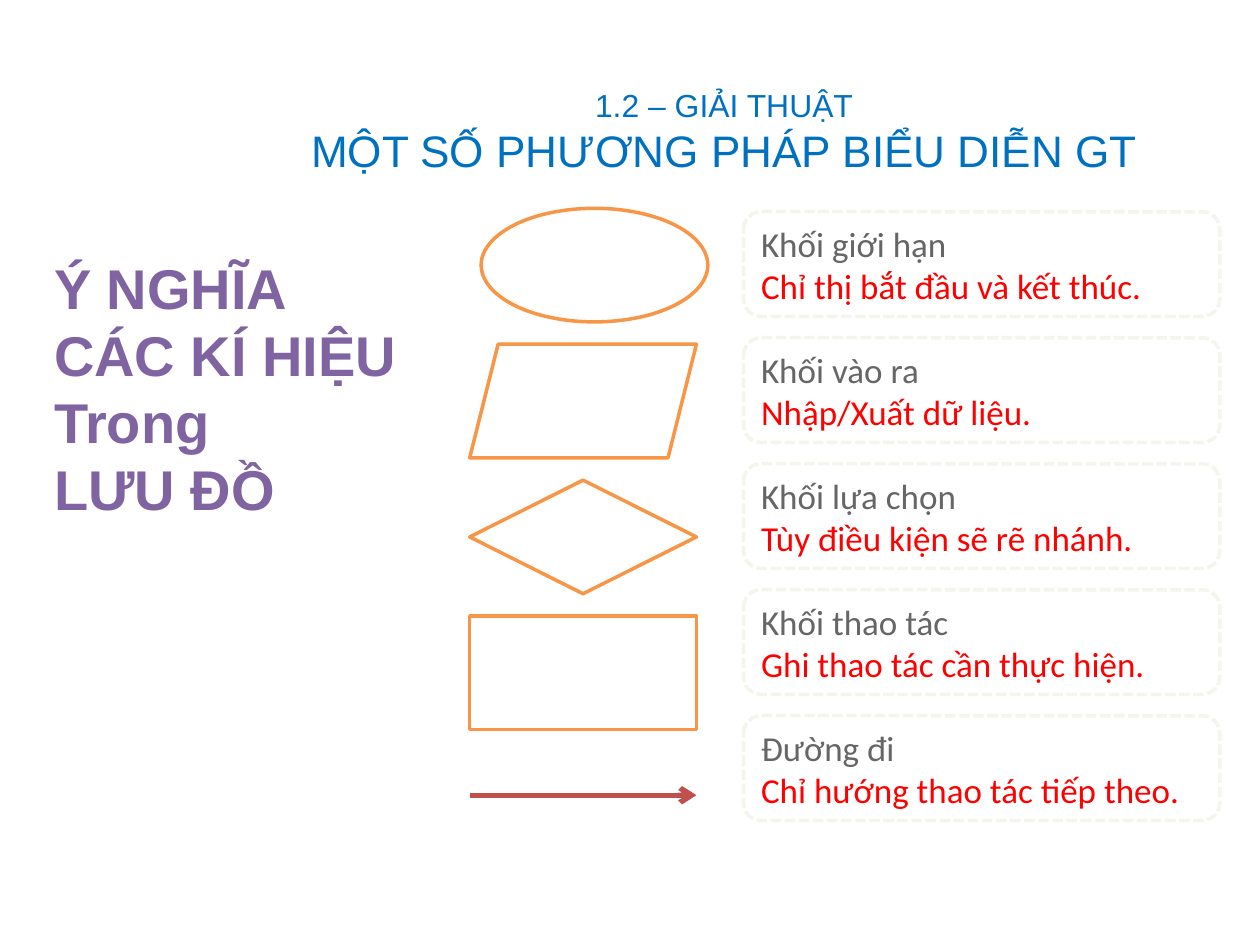
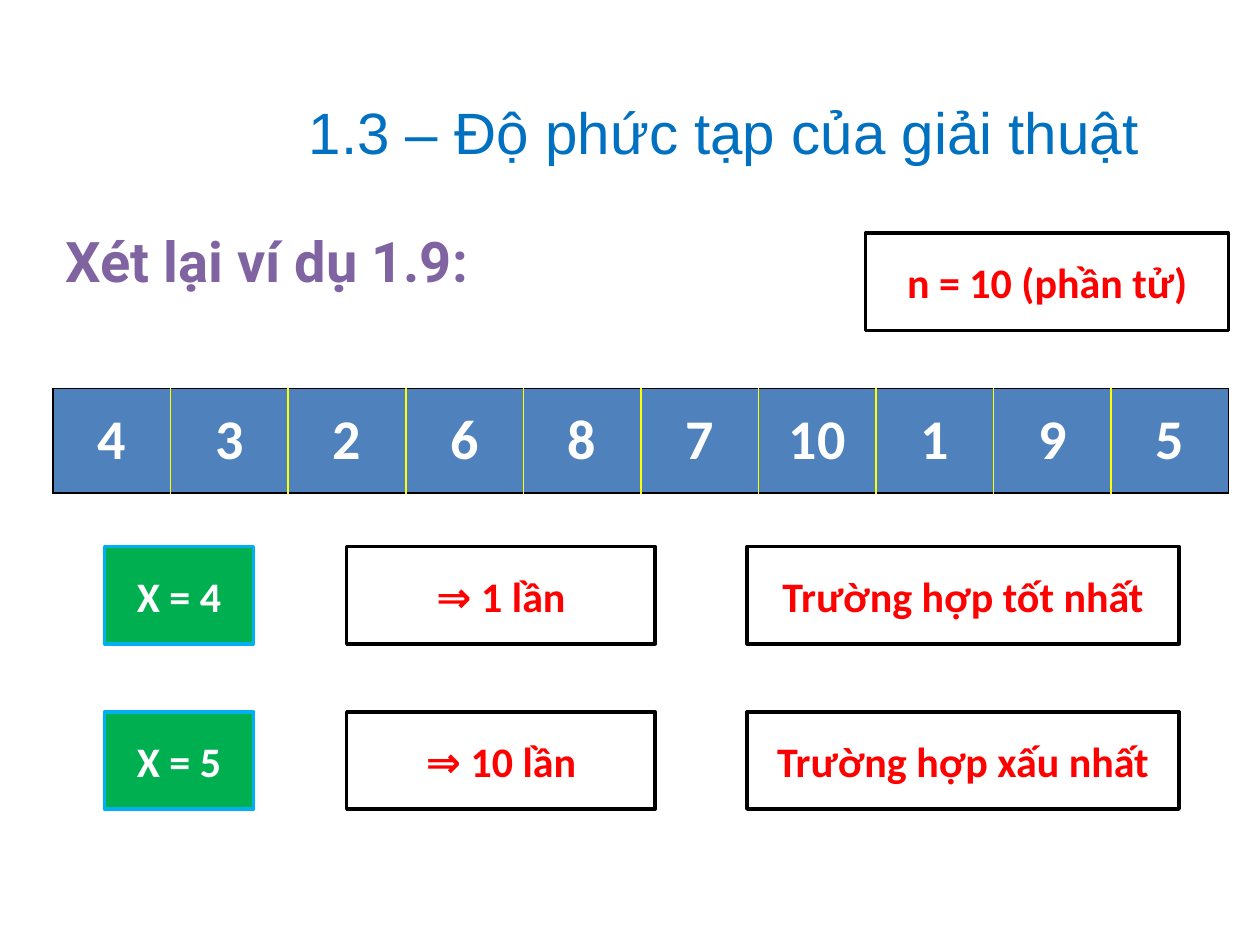
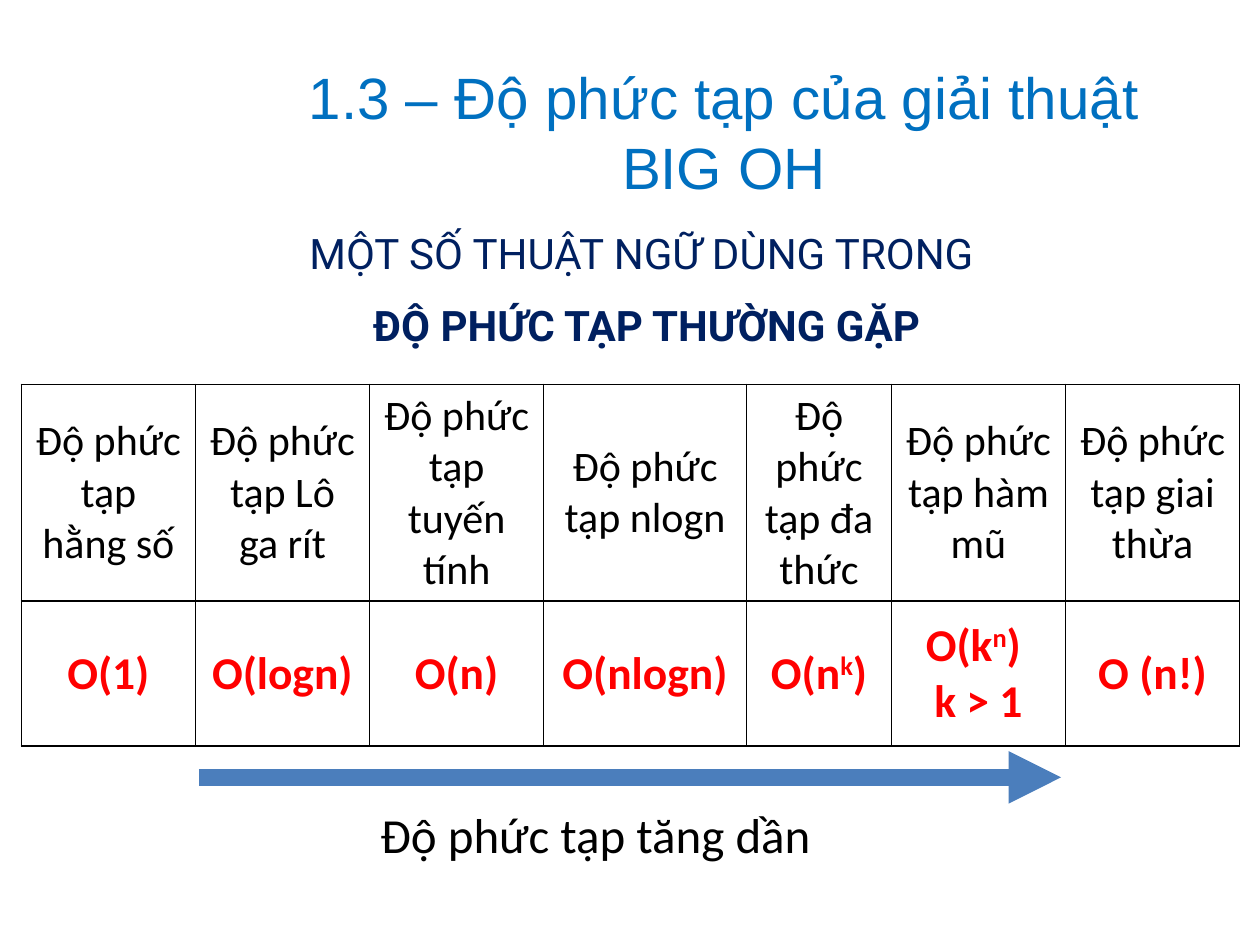
import dataclasses

import lxml.etree
import pptx
import pptx.dml.color
import pptx.enum.dml
import pptx.enum.shapes
import pptx.enum.text
import pptx.oxml.ns
import pptx.util

Cm = pptx.util.Cm
Pt = pptx.util.Pt
qn = pptx.oxml.ns.qn
SHAPE = pptx.enum.shapes.MSO_SHAPE
ALIGN = pptx.enum.text.PP_ALIGN
ANCHOR = pptx.enum.text.MSO_ANCHOR


@dataclasses.dataclass(frozen=True)
class Style:
    """Look of one kind of text."""
    font: str
    size: float
    colour: str
    bold: bool = False


@dataclasses.dataclass(frozen=True)
class Theme:
    """Colours and text styles shared by the slides."""
    white: str = "FFFFFF"
    black: str = "000000"
    orange: str = "F79646"
    cream: str = "F5F4ED"
    brick: str = "C0504D"
    green: str = "00B050"
    sky: str = "00B0F0"
    blue: str = "4F81BD"
    arrow_blue: str = "4B7EBC"
    yellow: str = "FFFF00"
    title: Style = Style("Arial", 33.3, "0070C0")
    title_small: Style = Style("Arial", 18.2, "0070C0")
    title_medium: Style = Style("Arial", 25.2, "0070C0")
    heading: Style = Style("Arial", 32, "8064A2", True)
    example: Style = Style("Roboto", 32, "8064A2", True)
    subtitle: Style = Style("Roboto", 24, "002060")
    subtitle_bold: Style = Style("Roboto", 24, "002060", True)
    term: Style = Style("Calibri", 20, "666666")
    meaning: Style = Style("Calibri", 20, "FF0000")
    number: Style = Style("Calibri", 32, "FFFFFF", True)
    key: Style = Style("Calibri", 24, "FFFFFF", True)
    result: Style = Style("Calibri", 24, "FF0000", True)
    name: Style = Style("Calibri", 24, "000000")
    formula: Style = Style("Calibri", 26, "FF0000", True)
    caption: Style = Style("Calibri", 28, "000000")


THEME = Theme()


@dataclasses.dataclass(frozen=True)
class Box:
    """A region in centimetres."""
    left: float
    top: float
    width: float
    height: float

    def inner(self, dx, dy, width, height):
        """Return a box placed relative to this one."""
        return Box(self.left + dx, self.top + dy, width, height)

    def lengths(self):
        """Return left, top, width and height as lengths."""
        return [Cm(value) for value in (self.left, self.top, self.width, self.height)]


TITLE_BOX = Box(5.5, 1.27, 18.2, 2.75)


def rgb(colour):
    """Return a colour object for a hex string."""
    return pptx.dml.color.RGBColor.from_string(colour)


def write(frame, lines, align=ALIGN.LEFT, spacing=0):
    """Fill a frame with (text, style) lines; ^ marks enclose an exponent."""
    frame.text = "\n".join(text for text, style in lines)
    for para, (text, style) in zip(frame.paragraphs, lines):
        first, *others = text.split("^")
        para.text = first
        for other in others:
            para.add_run().text = other
        para.alignment = align
        para.space_before = para.space_after = Pt(spacing)
        for index, span in enumerate(para.runs):
            span.font.name = style.font
            span.font.size = Pt(style.size)
            span.font.bold = style.bold
            span.font.color.rgb = rgb(style.colour)
            if index % 2:
                span.font._element.set("baseline", "30000")


def add_text(page, box, lines, align=ALIGN.LEFT, anchor=ANCHOR.TOP, spacing=0):
    """Add a wrapped text box."""
    frame = page.shapes.add_textbox(*box.lengths()).text_frame
    frame.word_wrap = True
    frame.vertical_anchor = anchor
    write(frame, lines, align, spacing)


def add_block(page, box, kind, line, fill=THEME.white, lines=(), align=ALIGN.CENTER):
    """Add an outlined shape with optional text."""
    block = page.shapes.add_shape(kind, *box.lengths())
    block.shadow.inherit = False
    block.fill.solid()
    block.fill.fore_color.rgb = rgb(fill)
    block.line.color.rgb = rgb(line)
    block.line.width = Pt(2)
    if lines:
        block.text_frame.word_wrap = True
        block.text_frame.vertical_anchor = ANCHOR.MIDDLE
        write(block.text_frame, lines, align)
    return block


def add_arrow(page, left, right, height, colour, width, head):
    """Add a horizontal arrow pointing right."""
    arrow = page.shapes.add_connector(
        pptx.enum.shapes.MSO_CONNECTOR.STRAIGHT, Cm(left), Cm(height), Cm(right), Cm(height))
    arrow.line.color.rgb = rgb(colour)
    arrow.line.width = Pt(width)
    properties = arrow._element.spPr
    lxml.etree.SubElement(properties.find(qn("a:ln")), qn("a:tailEnd"), type=head)
    lxml.etree.SubElement(properties, qn("a:effectLst"))


def add_borders(cell, left, right, top, bottom):
    """Draw the four borders of a cell in the given colours."""
    properties = cell._tc.get_or_add_tcPr()
    for side, colour in zip("LRTB", (left, right, top, bottom)):
        line = lxml.etree.SubElement(properties, qn("a:ln" + side), w=str(Pt(1)))
        solid = lxml.etree.SubElement(line, qn("a:solidFill"))
        lxml.etree.SubElement(solid, qn("a:srgbClr"), val=colour)


def add_grid(page, box, rows, widths, heights, divider, fill=None):
    """Add a table with a black frame and coloured column dividers."""
    grid = page.shapes.add_table(len(rows), len(widths), *box.lengths()).table
    grid.first_row = grid.horz_banding = False
    for column, width in zip(grid.columns, widths):
        column.width = Cm(width)
    last = len(widths) - 1
    for row, height, entries in zip(grid.rows, heights, rows):
        row.height = Cm(height)
        for index, (cell, lines) in enumerate(zip(row.cells, entries)):
            add_borders(cell, divider if index else THEME.black,
                        divider if index < last else THEME.black, THEME.black, THEME.black)
            if fill:
                cell.fill.solid()
                cell.fill.fore_color.rgb = rgb(fill)
            else:
                cell.fill.background()
            cell.vertical_anchor = ANCHOR.MIDDLE
            write(cell.text_frame, lines, ALIGN.CENTER)


def add_page(deck, title):
    """Add a blank slide with its title lines."""
    page = deck.slides.add_slide(deck.slide_layouts[6])
    add_text(page, TITLE_BOX, title, ALIGN.CENTER, ANCHOR.MIDDLE)
    return page


def add_symbols(page, box):
    """Stack the flowchart symbols, ending with the path arrow."""
    pitch = 2.74
    kinds = (SHAPE.OVAL, SHAPE.PARALLELOGRAM, SHAPE.DIAMOND, SHAPE.RECTANGLE)
    for index, kind in enumerate(kinds):
        shift = 0.23 if kind == SHAPE.OVAL else 0
        add_block(page, box.inner(shift, index * pitch, box.width, 2.29), kind, THEME.orange)
    add_arrow(page, box.left, box.left + box.width, box.top + box.height,
              THEME.brick, 3, "arrow")


def add_meanings(page, box, meanings):
    """Stack dashed cards that explain the symbols."""
    pitch = 2.54
    for index, (term, meaning) in enumerate(meanings):
        card = add_block(page, box.inner(0, index * pitch, box.width, 2.11),
                         SHAPE.ROUNDED_RECTANGLE, THEME.cream,
                         lines=[(term, THEME.term), (meaning, THEME.meaning)], align=ALIGN.LEFT)
        card.line.dash_style = pptx.enum.dml.MSO_LINE.SQUARE_DOT


def add_cases(page, box, cases):
    """Lay out each search case as key, count and verdict."""
    pitch = 3.33
    for index, (key, count, verdict) in enumerate(cases):
        top = index * pitch
        add_block(page, box.inner(0, top, 3, 1.96), SHAPE.RECTANGLE, THEME.sky, THEME.green,
                  [(key, THEME.key)])
        for left, width, text in ((4.88, 6.22, count), (12.95, 8.71, verdict)):
            add_block(page, box.inner(left, top, width, 1.96), SHAPE.RECTANGLE, THEME.black,
                      lines=[(text, THEME.result)])


def build_symbols_page(deck):
    """Build the slide on flowchart symbols."""
    page = add_page(deck, [("1.2 – GIẢI THUẬT", THEME.title_small),
                           ("MỘT SỐ PHƯƠNG PHÁP BIỂU DIỄN GT", THEME.title_medium)])
    add_symbols(page, Box(9.47, 4.2, 4.57, 11.83))
    add_meanings(page, Box(14.99, 4.27, 9.6, 12.27), (
        ("Khối giới hạn", "Chỉ thị bắt đầu và kết thúc."),
        ("Khối vào ra", "Nhập/Xuất dữ liệu."),
        ("Khối lựa chọn", "Tùy điều kiện sẽ rẽ nhánh."),
        ("Khối thao tác", "Ghi thao tác cần thực hiện."),
        ("Đường đi", "Chỉ hướng thao tác tiếp theo.")))
    heading = ("Ý NGHĨA", "CÁC KÍ HIỆU", "Trong", "LƯU ĐỒ")
    add_text(page, Box(0.84, 4.98, 14.94, 1.47), [(line, THEME.heading) for line in heading])


def build_search_page(deck):
    """Build the slide on best and worst search cases."""
    page = add_page(deck, [("1.3 – Độ phức tạp của giải thuật", THEME.title)])
    add_text(page, Box(1.07, 4.45, 14.6, 1.75), [("Xét lại ví dụ 1.9:", THEME.example)])
    add_block(page, Box(17.45, 4.7, 7.32, 1.96), SHAPE.RECTANGLE, THEME.black,
              lines=[("n = 10 (phần tử)", THEME.result)])
    numbers = (4, 3, 2, 6, 8, 7, 10, 1, 9, 5)
    row = [[(str(number), THEME.number)] for number in numbers]
    add_grid(page, Box(1.07, 7.83, 23.7, 2.11), [row], [2.37] * len(numbers), [2.11],
             THEME.yellow, THEME.blue)
    add_cases(page, Box(2.11, 11.02, 21.66, 5.29), (
        ("X = 4", "⇒ 1 lần", "Trường hợp tốt nhất"),
        ("X = 5", "⇒ 10 lần", "Trường hợp xấu nhất")))


def build_big_oh_page(deck):
    """Build the slide on common complexity classes."""
    page = add_page(deck, [("1.3 – Độ phức tạp của giải thuật", THEME.title),
                           ("BIG OH", THEME.title)])
    add_text(page, Box(1.07, 4.47, 23.93, 2.39),
             [("MỘT SỐ THUẬT NGỮ DÙNG TRONG ", THEME.subtitle),
              ("ĐỘ PHỨC TẠP THƯỜNG GẶP", THEME.subtitle_bold)], ALIGN.CENTER, spacing=6)
    classes = (("hằng số", "O(1)"), ("Lô ga rít", "O(logn)"), ("tuyến tính", "O(n)"),
               ("nlogn", "O(nlogn)"), ("đa thức", "O(n^k^)"),
               ("hàm mũ", "O(k^n^) \nk > 1"), ("giai thừa", "O (n!)"))
    names = [[("Độ phức tạp " + name, THEME.name)] for name, formula in classes]
    formulas = [[(line, THEME.formula) for line in formula.split("\n")]
                for name, formula in classes]
    widths = (3.51, 3.51, 3.51, 4.09, 2.92, 3.51, 3.51)
    add_grid(page, Box(0.43, 7.75, 24.56, 7.29), [names, formulas], widths, (4.37, 2.92),
             THEME.black)
    add_arrow(page, 4.01, 21.39, 15.67, THEME.arrow_blue, 10, "triangle")
    add_text(page, Box(7.42, 16.1, 10.39, 1.45), [("Độ phức tạp tăng dần", THEME.caption)])


def main():
    """Build and save the deck."""
    deck = pptx.Presentation()
    deck.slide_width, deck.slide_height = Cm(25.4), Cm(19.05)
    build_symbols_page(deck)
    build_search_page(deck)
    build_big_oh_page(deck)
    deck.save("out.pptx")


if __name__ == "__main__":
    main()
